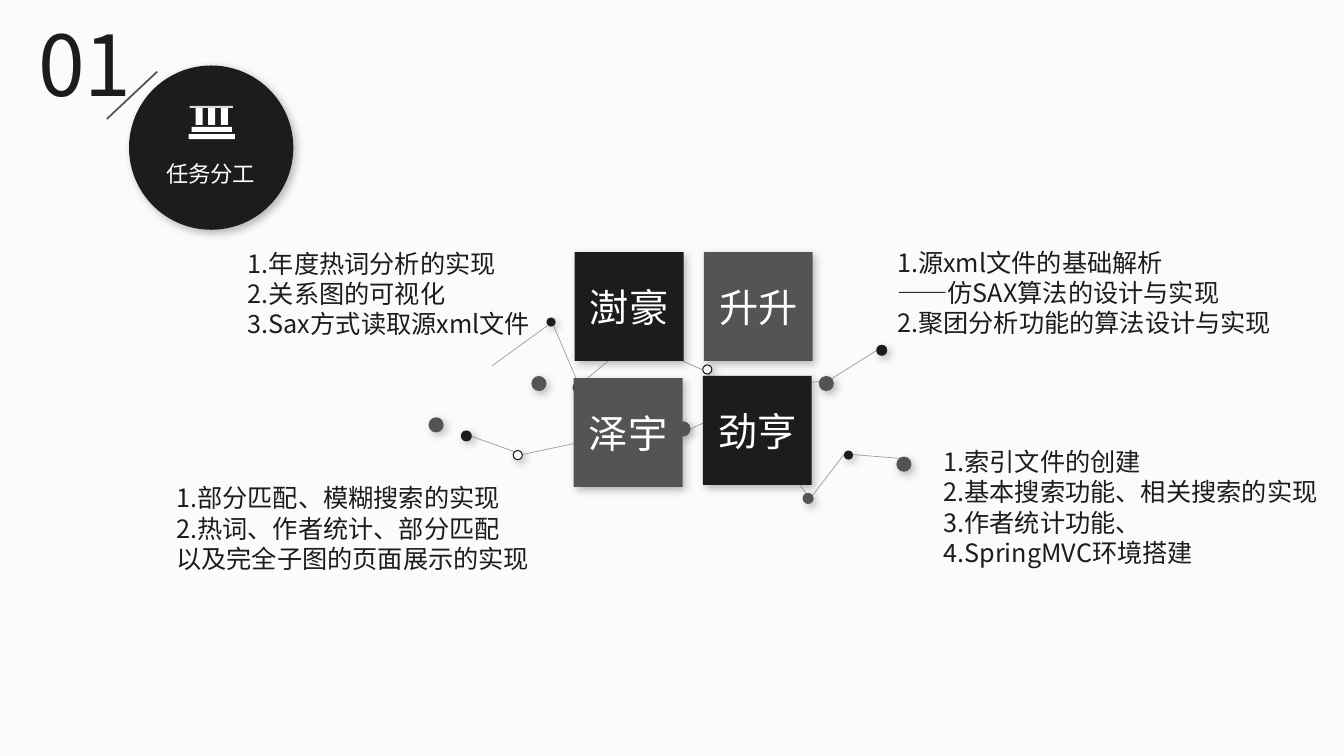
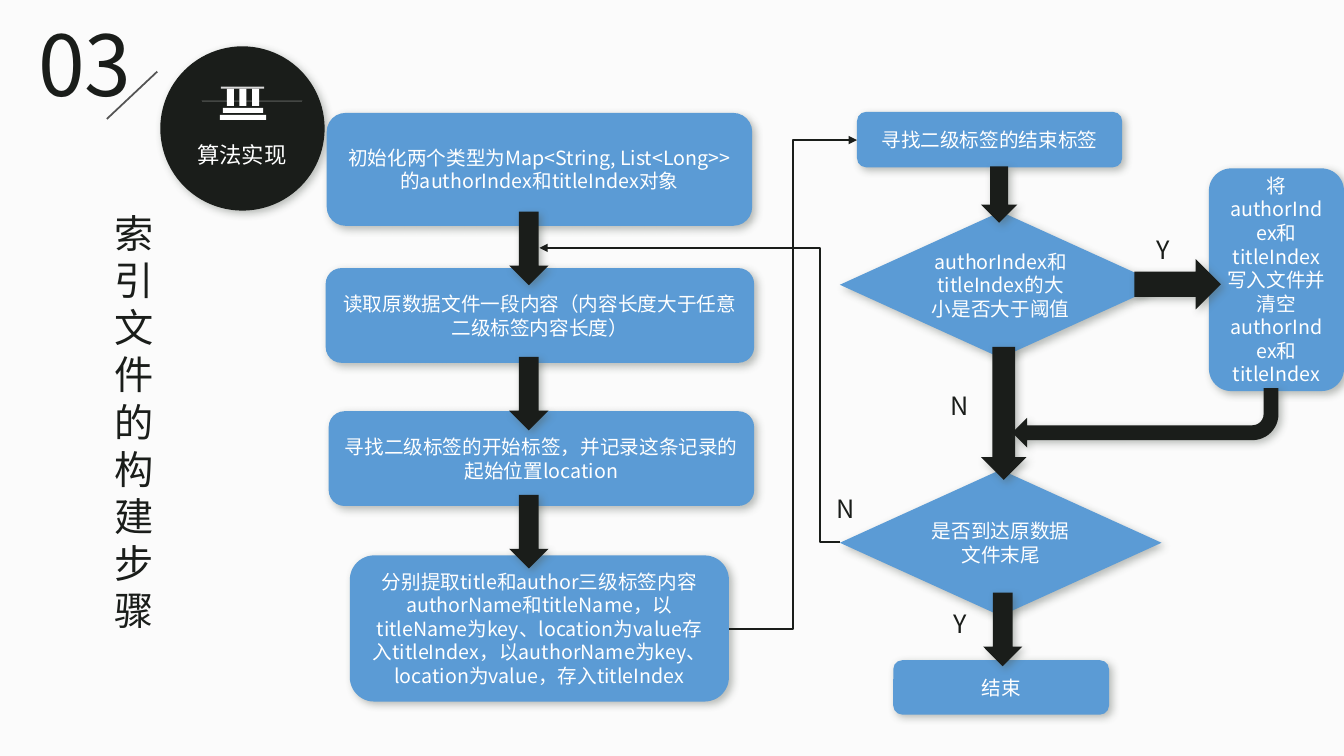
"""Build two slides: the split of tasks and the steps that build the index."""
from dataclasses import dataclass

import lxml.etree
import pptx
import pptx.dml.color
import pptx.enum.shapes
import pptx.enum.text
import pptx.oxml.ns
import pptx.shapes.autoshape
import pptx.shapes.base
import pptx.shapes.connector
import pptx.slide
import pptx.util

Inches = pptx.util.Inches
Preset = pptx.enum.shapes.MSO_SHAPE
Link = pptx.enum.shapes.MSO_CONNECTOR
Align = pptx.enum.text.PP_ALIGN
qn = pptx.oxml.ns.qn

FONT = "Noto Sans CJK SC"
COLORS = {
    "paper": "FBFBFB",
    "ink": "1A1D1A",
    "gray": "545454",
    "white": "FFFFFF",
    "silver": "BFBFBF",
    "pale": "D9D9D9",
    "blue": "5B9BD5",
    "shade": "505950",
}


@dataclass(frozen=True)
class Area:
    left: float
    top: float
    width: float
    height: float

    def spans(self) -> list[int]:
        return [Inches(v) for v in (self.left, self.top, self.width, self.height)]


@dataclass(frozen=True)
class Dot:
    left: float
    top: float
    size: float
    color: str


@dataclass(frozen=True)
class Node:
    area: Area
    text: str
    kind: Preset = Preset.ROUNDED_RECTANGLE
    color: str = "blue"
    size: int = 14


@dataclass(frozen=True)
class Arrow:
    area: Area
    kind: Preset = Preset.DOWN_ARROW
    turn: int = 0


@dataclass(frozen=True)
class Note:
    area: Area
    lines: tuple[str, ...]
    size: int = 18
    align: Align = Align.LEFT


@dataclass(frozen=True)
class Head:
    number: str
    title: str
    left: float
    top: float


@dataclass(frozen=True)
class Piece:
    points: tuple[tuple[float, float], ...]
    color: str


ROOF = Piece(((0.6, 0.4), (0.82, 0.27), (1.03, 0.4)), "white")
SLOPES = (
    Piece(((0.62, 0.66), (1.01, 0.66), (1.05, 0.68), (0.59, 0.68)), "silver"),
    Piece(((0.65, 0.59), (0.98, 0.59), (1.01, 0.61), (0.62, 0.61)), "pale"),
)
BARS = (
    (Area(0.59, 0.68, 0.46, 0.05), "white"),
    (Area(0.62, 0.61, 0.4, 0.05), "white"),
    *((Area(0.66 + 0.125 * i, 0.42, 0.07, 0.17), "white") for i in range(3)),
    (Area(0.6, 0.4, 0.43, 0.02), "pale"),
)

LINES = (
    (8.2, 3.78, 7.82, 3.81), (8.18, 3.8, 8.69, 3.48), (7.07, 4.15, 6.8, 4.28),
    (5.18, 4.51, 5.93, 4.35), (4.68, 4.33, 5.1, 4.48), (7.02, 3.68, 7.14, 4.12),
    (8.46, 4.51, 8.96, 4.55), (8.04, 4.94, 8.37, 4.51), (8.03, 4.94, 7.57, 4.34),
    (6.15, 3.48, 5.77, 3.8), (6.65, 3.53, 6.97, 3.67), (4.88, 3.63, 5.43, 3.23),
    (5.73, 3.79, 5.49, 3.23),
)
DOTS = (
    Dot(8.69, 3.42, 0.11, "ink"), Dot(8.12, 3.73, 0.15, "gray"),
    Dot(8.37, 4.47, 0.09, "ink"), Dot(8.89, 4.53, 0.15, "gray"),
    Dot(6.97, 3.62, 0.09, "paper"), Dot(7.96, 4.89, 0.11, "gray"),
    Dot(4.25, 4.14, 0.15, "gray"), Dot(5.27, 3.73, 0.15, "gray"),
    Dot(5.09, 4.47, 0.09, "paper"), Dot(5.42, 3.15, 0.09, "ink"),
    Dot(5.68, 3.79, 0.11, "ink"), Dot(4.57, 4.27, 0.11, "ink"),
    Dot(6.7, 4.18, 0.15, "gray"),
)
TEAM = tuple(
    Node(Area(left, top, 1.08, 1.08), name, Preset.RECTANGLE, color, 28)
    for left, top, name, color in (
        (6.98, 2.5, "升升", "gray"),
        (6.97, 3.73, "劲亨", "ink"),
        (5.7, 2.5, "澍豪", "ink"),
        (5.69, 3.75, "泽宇", "gray"),
    )
)
TASKS = (
    Note(Area(8.8, 2.4, 3.95, 1.01),
         ("1.源xml文件的基础解析", "——仿SAX算法的设计与实现", "2.聚团分析功能的算法设计与实现")),
    Note(Area(2.36, 2.41, 3.01, 1.01),
         ("1.年度热词分析的实现", "2.关系图的可视化", "3.Sax方式读取源xml文件")),
    Note(Area(1.65, 4.74, 3.74, 1.01),
         ("1.部分匹配、模糊搜索的实现", "2.热词、作者统计、部分匹配", "以及完全子图的页面展示的实现")),
    Note(Area(9.26, 4.38, 3.95, 1.31),
         ("1.索引文件的创建", "2.基本搜索功能、相关搜索的实现", "3.作者统计功能、", "4.SpringMVC环境搭建")),
)

STEPS = (
    Node(Area(3.24, 1.12, 4.22, 1.12),
         "初始化两个类型为Map<String, List<Long>>的authorIndex和titleIndex对象"),
    Node(Area(3.47, 5.51, 3.76, 1.45),
         "分别提取title和author三级标签内容authorName和titleName，以titleName为key、"
         "location为value存入titleIndex，以authorName为key、location为value，存入titleIndex"),
    Node(Area(8.5, 1.11, 2.63, 0.55), "寻找二级标签的结束标签"),
    Node(Area(11.99, 1.67, 1.34, 2.21),
         "将authorIndex和titleIndex写入文件并清空authorIndex和titleIndex"),
    Node(Area(3.26, 4.08, 4.22, 0.94), "寻找二级标签的开始标签，并记录这条记录的起始位置location"),
    Node(Area(3.23, 2.66, 4.25, 0.94), "读取原数据文件一段内容（内容长度大于任意二级标签内容长度）"),
    Node(Area(8.33, 2.1, 3.19, 1.45), "authorIndex和titleIndex的大小是否大于阈值", Preset.DIAMOND),
    Node(Area(8.33, 4.66, 3.19, 1.45), "是否到达原数据文件末尾", Preset.DIAMOND),
    Node(Area(8.86, 6.55, 2.14, 0.54), "结束"),
)
ARROWS = (
    *(Arrow(Area(5.05, top, 0.39, 0.73)) for top in (2.1, 3.54, 4.91)),
    Arrow(Area(9.73, 1.65, 0.36, 0.56)),
    Arrow(Area(9.73, 3.44, 0.45, 1.32)),
    Arrow(Area(11.25, 2.57, 0.86, 0.5), Preset.RIGHT_ARROW),
    Arrow(Area(10.04, 3.85, 2.64, 0.59), Preset.BENT_ARROW, 180),
    Arrow(Area(9.75, 5.88, 0.39, 0.73)),
)
MARKS = (
    Note(Area(1.04, 2.03, 0.51, 4.34), ("索引文件的构建步骤",), 28),
    *(
        Note(Area(left, top, 0.39, 0.4), (sign,))
        for left, top, sign in (
            (11.37, 2.28, "Y"), (9.36, 5.99, "Y"), (9.33, 3.82, "N"), (8.2, 4.84, "N"),
        )
    ),
)


def tint(name: str) -> pptx.dml.color.RGBColor:
    return pptx.dml.color.RGBColor.from_string(COLORS[name])


def paint(shape: pptx.shapes.autoshape.Shape, color: str, shade: bool = True) -> None:
    shape.fill.solid()
    shape.fill.fore_color.rgb = tint(color)
    if color == "paper":
        shape.line.color.rgb = tint("ink")
        shape.line.width = pptx.util.Pt(0.75)
    else:
        shape.line.fill.background()
    shape.shadow.inherit = False
    if shade:
        effects = shape.element.spPr.find(qn("a:effectLst"))
        glow = lxml.etree.SubElement(
            effects, qn("a:outerShdw"), blurRad="76200", dist="38100",
            dir="2700000", algn="tl", rotWithShape="0",
        )
        base = lxml.etree.SubElement(glow, qn("a:srgbClr"), val=COLORS["shade"])
        lxml.etree.SubElement(base, qn("a:alpha"), val="40000")


def write(shape: pptx.shapes.base.BaseShape, text: str, size: int, color: str, align: Align) -> None:
    frame = shape.text_frame
    frame.text = text
    frame.word_wrap = True
    for para in frame.paragraphs:
        para.alignment = align
        for run in para.runs:
            run.font.size = pptx.util.Pt(size)
            run.font.color.rgb = tint(color)
            run.font.name = FONT
    for props in shape.element.iter(qn("a:rPr")):
        lxml.etree.SubElement(props, qn("a:ea"), typeface=FONT)


def add_note(slide: pptx.slide.Slide, note: Note) -> None:
    box = slide.shapes.add_textbox(*note.area.spans())
    write(box, "\n".join(note.lines), note.size, "ink", note.align)


def add_node(slide: pptx.slide.Slide, node: Node) -> None:
    shape = slide.shapes.add_shape(node.kind, *node.area.spans())
    paint(shape, node.color)
    write(shape, node.text, node.size, "white", Align.CENTER)


def add_line(
    slide: pptx.slide.Slide, ends: tuple[float, ...], color: str, width: float,
    kind: Link = Link.STRAIGHT,
) -> pptx.shapes.connector.Connector:
    line = slide.shapes.add_connector(kind, *(Inches(v) for v in ends))
    line.line.color.rgb = tint(color)
    line.line.width = pptx.util.Pt(width)
    lxml.etree.SubElement(line.element.spPr, qn("a:effectLst"))
    return line


def add_bend(slide: pptx.slide.Slide, ends: tuple[float, ...], ratio: int) -> None:
    bend = add_line(slide, ends, "ink", 1.5, Link.ELBOW)
    stroke = bend.element.spPr.find(qn("a:ln"))
    lxml.etree.SubElement(stroke, qn("a:tailEnd"), type="triangle")
    guides = next(bend.element.iter(qn("a:avLst")))
    lxml.etree.SubElement(guides, qn("a:gd"), name="adj1", fmla=f"val {ratio}")


def add_icon(slide: pptx.slide.Slide, left: float, top: float) -> None:
    group = slide.shapes.add_group_shape().shapes
    for piece in (ROOF, *SLOPES):
        points = [(left + x, top + y) for x, y in piece.points]
        form = group.build_freeform(*points[0], scale=float(Inches(1)))
        form.add_line_segments(points[1:])
        paint(form.convert_to_shape(), piece.color, False)
    for bar, color in BARS:
        place = Area(left + bar.left, top + bar.top, bar.width, bar.height)
        paint(group.add_shape(Preset.RECTANGLE, *place.spans()), color, False)


def add_head(deck: pptx.presentation.Presentation, head: Head) -> pptx.slide.Slide:
    slide = deck.slides.add_slide(deck.slide_layouts[5])
    add_note(slide, Note(Area(0.28, 0.07, 1.14, 1.11), (head.number,), 60, Align.JUSTIFY))
    add_line(slide, (1.56, 0.71, 1.06, 1.18), "gray", 1.25)
    disc = Area(head.left, head.top, 1.63, 1.63)
    paint(slide.shapes.add_shape(Preset.OVAL, *disc.spans()), "ink")
    add_icon(slide, head.left, head.top)
    title = slide.shapes.title
    place = Area(head.left - 0.22, head.top + 0.89, 2.06, 0.37)
    title.left, title.top, title.width, title.height = place.spans()
    write(title, head.title, 16, "white", Align.CENTER)
    title.text_frame.auto_size = pptx.enum.text.MSO_AUTO_SIZE.NONE
    title.text_frame.vertical_anchor = pptx.enum.text.MSO_ANCHOR.TOP
    slide.shapes.element.append(title.element)
    return slide


def add_tasks(deck: pptx.presentation.Presentation) -> None:
    slide = add_head(deck, Head("01", "任务分工", 1.28, 0.65))
    for ends in LINES:
        line = add_line(slide, ends, "ink", 0.5)
        base = next(line.element.iter(qn("a:srgbClr")))
        lxml.etree.SubElement(base, qn("a:alpha"), val="41000")
    for dot in DOTS:
        place = Area(dot.left, dot.top, dot.size, dot.size)
        paint(slide.shapes.add_shape(Preset.OVAL, *place.spans()), dot.color)
    for node in TEAM:
        add_node(slide, node)
    for note in TASKS:
        add_note(slide, note)


def add_steps(deck: pptx.presentation.Presentation) -> None:
    slide = add_head(deck, Head("03", "算法实现", 1.59, 0.46))
    for node in STEPS:
        add_node(slide, node)
    for arrow in ARROWS:
        shape = slide.shapes.add_shape(arrow.kind, *arrow.area.spans())
        shape.rotation = arrow.turn
        paint(shape, "ink")
    add_bend(slide, (7.23, 6.24, 8.5, 1.39), 50000)
    add_bend(slide, (8.33, 5.38, 5.35, 2.46), 6600)
    for note in MARKS:
        add_note(slide, note)


def main() -> None:
    deck = pptx.Presentation()
    deck.slide_width, deck.slide_height = Inches(13.33), Inches(7.5)
    fill = deck.slide_master.background.fill
    fill.solid()
    fill.fore_color.rgb = tint("paper")
    add_tasks(deck)
    add_steps(deck)
    deck.save("out.pptx")


if __name__ == "__main__":
    main()
